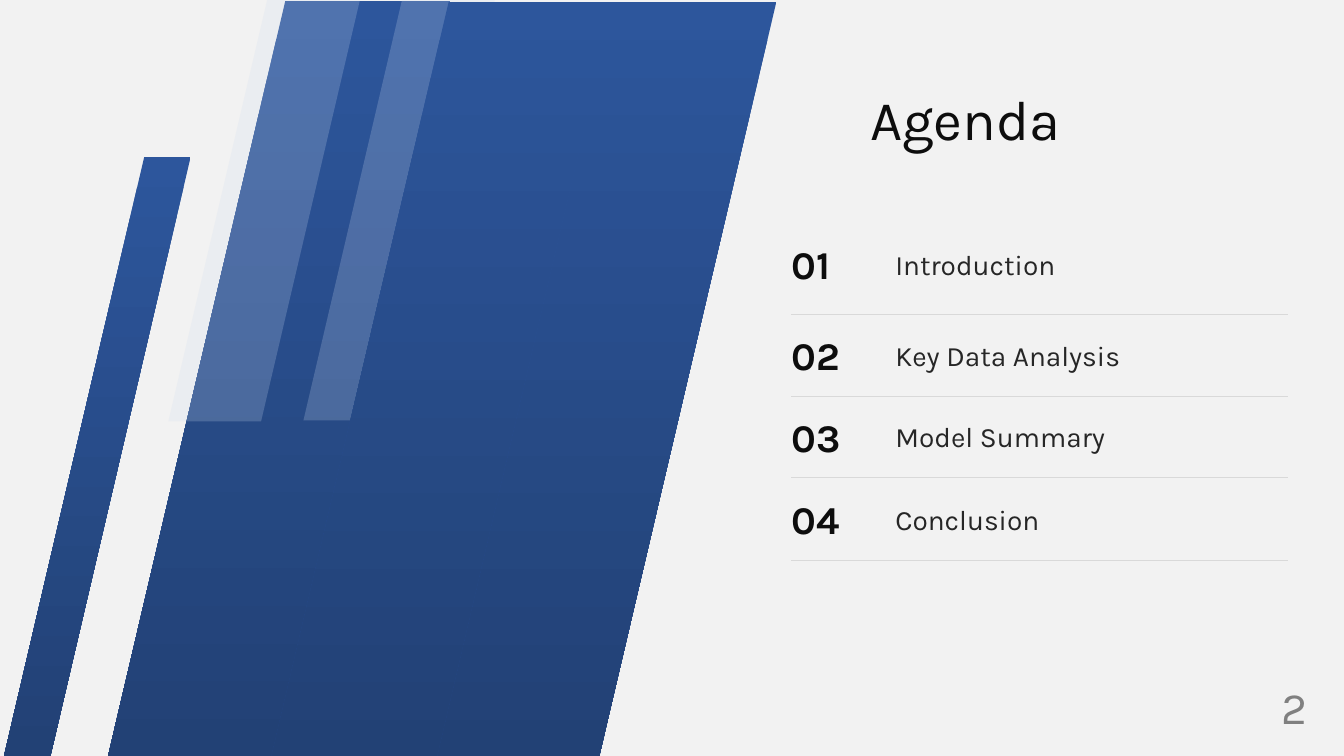
from dataclasses import dataclass

from lxml import etree
from pptx import Presentation
from pptx import util as u
from pptx.dml.color import RGBColor
from pptx.enum import shapes, text
from pptx.oxml import ns

PX = 9144  # EMU per px, 100 px to the inch
LEAN = 0.234  # sideways run of every slanted edge per px of height


@dataclass(frozen=True)
class Theme:
    font: str = "Karla"
    background: str = "F2F2F2"
    blue_top: str = "2D569C"
    blue_bottom: str = "224175"
    glass: str = "CFDCF1"
    glass_alpha: int = 22
    ink: str = "0D0D0D"
    body: str = "262626"
    muted: str = "808080"
    rule: str = "D9D9D9"
    title_size: int = 40
    page_size: int = 32
    number_size: int = 28
    item_size: int = 20


THEME = Theme()


def px(*lengths):
    return [u.Emu(round(length * PX)) for length in lengths]


def set_all(target, values):
    for name, value in values.items():
        setattr(target, name, value)


def write(box, words, size, color, bold=False, align=text.PP_ALIGN.LEFT):
    frame = box.text_frame
    set_all(frame, {
        "word_wrap": True,
        "auto_size": text.MSO_AUTO_SIZE.NONE,
        "vertical_anchor": text.MSO_ANCHOR.MIDDLE,
        "margin_left": 0, "margin_top": 0,
        "margin_right": 0, "margin_bottom": 0,
    })
    para = frame.paragraphs[0]
    para.alignment = align
    span = para.add_run()
    span.text = words
    set_all(span.font, {"name": THEME.font, "size": u.Pt(size), "bold": bold})
    span.font.color.rgb = RGBColor.from_string(color)


def add_text(page, place, words, size, color, **style):
    write(page.shapes.add_textbox(*px(*place)), words, size, color, **style)


def add_slant(page, left, top, width, height):
    """Draw a slanted band; left is its bottom corner, width its flat edge."""
    lean = round(height * LEAN)
    outline = page.shapes.build_freeform(left + lean, top, scale=PX)
    outline.add_line_segments([
        (left + lean + width, top),
        (left + width, top + height),
        (left, top + height),
    ])
    return outline.convert_to_shape()


def clear_edges(shape):
    shape.shadow.inherit = False
    shape.line.fill.background()


def paint_blue(shape):
    clear_edges(shape)
    shape.fill.gradient()
    shape.fill.gradient_angle = 270
    for stop, color in zip(shape.fill.gradient_stops,
                           (THEME.blue_top, THEME.blue_bottom)):
        stop.color.rgb = RGBColor.from_string(color)


def paint_glass(shape):
    clear_edges(shape)
    shape.fill.solid()
    shape.fill.fore_color.rgb = RGBColor.from_string(THEME.glass)
    color = shape.fill._xPr.find(".//" + ns.qn("a:srgbClr"))
    etree.SubElement(color, ns.qn("a:alpha"), val=str(THEME.glass_alpha * 1000))


def add_panel(page, left, top):
    paint_blue(add_slant(page, left, top, 164, 750))


def add_glass(page, left, top):
    paint_glass(add_slant(page, left, top, 92, 418))


def add_thin_bar(page, left, top, width, height):
    bar = page.shapes.add_shape(
        shapes.MSO_SHAPE.PARALLELOGRAM, *px(left, top, width, height))
    bar.adjustments[0] = height * LEAN / width
    paint_blue(bar)


def add_rule(page, left, right, y):
    rule = page.shapes.add_connector(
        shapes.MSO_CONNECTOR.STRAIGHT, *px(left, y, right, y))
    rule.line.color.rgb = RGBColor.from_string(THEME.rule)
    rule.line.width = u.Pt(0.75)
    etree.SubElement(rule._element.spPr, ns.qn("a:effectLst"))


def add_agenda(page, items):
    for index, item in enumerate(items):
        rule_y = 312 + index * 244 // 3
        height = 54 if index else 72
        top = rule_y - 14 - height
        add_text(page, (785, top, 63, height), f"{index + 1:02}",
                 THEME.number_size, THEME.ink, bold=True)
        add_text(page, (888, top, 391, height), item,
                 THEME.item_size, THEME.body)
        add_rule(page, 785, 1277, rule_y)


def add_title(page, place, words):
    title = page.shapes.title
    set_all(title, dict(zip(("left", "top", "width", "height"), px(*place))))
    write(title, words, THEME.title_size, THEME.ink)


def main():
    deck = Presentation()
    deck.slide_width, deck.slide_height = px(1333, 750)
    page = deck.slides.add_slide(deck.slide_layouts[5])
    page.background.fill.solid()
    page.background.fill.fore_color.rgb = RGBColor.from_string(THEME.background)

    add_text(page, (1226, 681, 71, 40), "2", THEME.page_size, THEME.muted,
             align=text.PP_ALIGN.RIGHT)
    add_panel(page, 107, 1)
    add_glass(page, 167, 0)
    add_thin_bar(page, 4, 156, 185, 594)
    add_glass(page, 301, -1)
    add_panel(page, 430, 2)
    add_panel(page, 269, 2)

    add_title(page, (863, 92, 488, 50), "Agenda")
    add_agenda(page, ["Introduction", "Key Data Analysis",
                      "Model Summary", "Conclusion"])
    deck.save("out.pptx")


if __name__ == "__main__":
    main()
